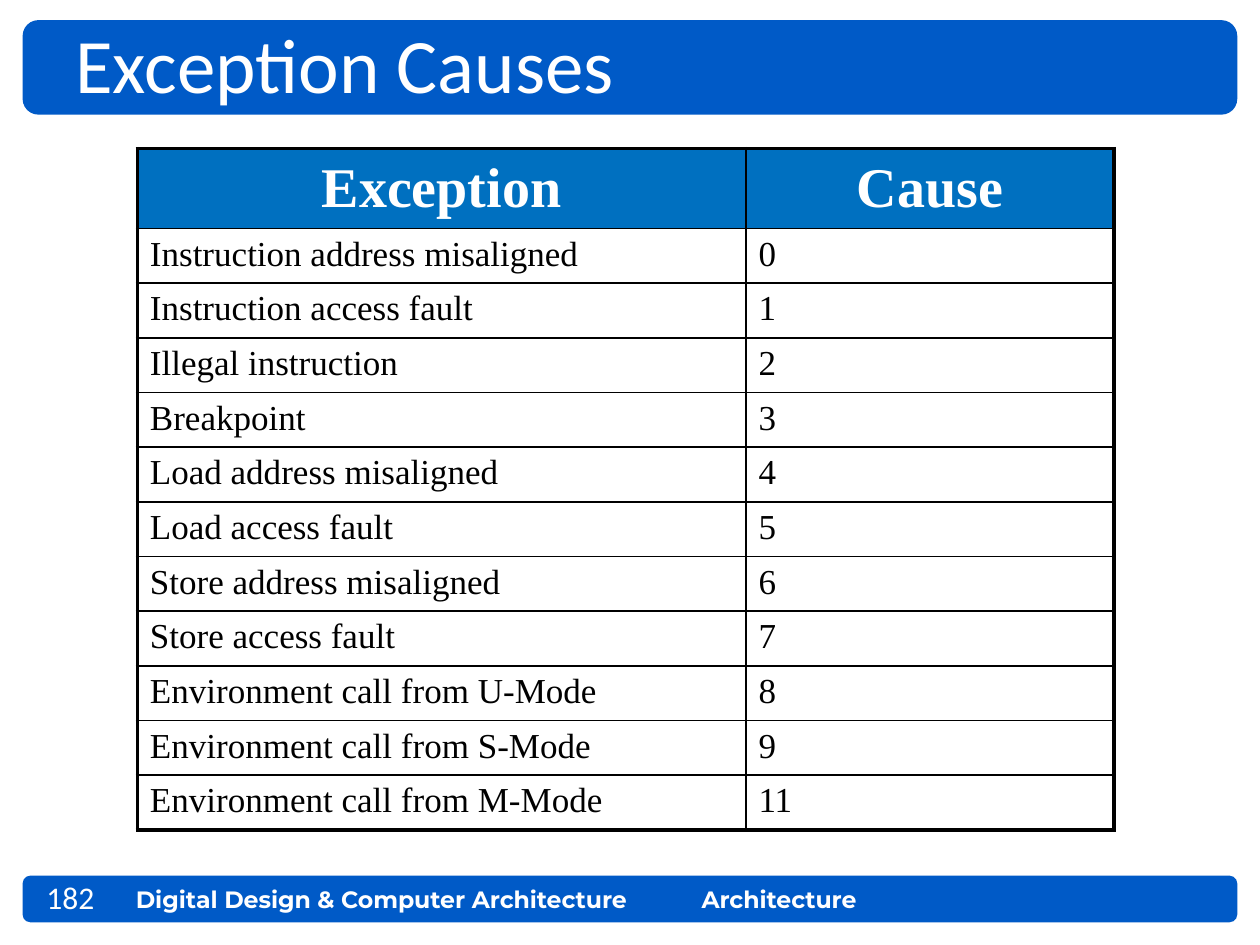
from lxml import etree
from pptx import Presentation
from pptx.dml.color import RGBColor
from pptx.enum.shapes import MSO_SHAPE
from pptx.enum.text import MSO_ANCHOR, PP_ALIGN
from pptx.oxml.ns import qn
from pptx.util import Inches, Pt

ROUND = MSO_SHAPE.ROUNDED_RECTANGLE
TOP, MIDDLE = MSO_ANCHOR.TOP, MSO_ANCHOR.MIDDLE
LEFT, CENTER = PP_ALIGN.LEFT, PP_ALIGN.CENTER

BLUE = RGBColor(0x00, 0x5A, 0xC7)
HEAD = RGBColor(0x00, 0x70, 0xC0)
WHITE = RGBColor(0xFF, 0xFF, 0xFF)
BLACK = RGBColor(0x00, 0x00, 0x00)

TITLE = {"name": "Calibri", "size": Pt(44), "bold": False}
NUMBER = {"name": "Calibri", "size": Pt(18), "bold": False}
FOOTER = {"name": "Montserrat", "size": Pt(13.5), "bold": True}
HEADING = {"name": "Times New Roman", "size": Pt(32), "bold": True}
BODY = {"name": "Times New Roman", "size": Pt(20), "bold": False}

THICK, THIN = Pt(2.25), Pt(1)
WIDTHS = (4.83, 2.92)
HIGH, HEAD_ROW = 5.4, 0.63
CAUSES = [
    ("Exception", "Cause"),
    ("Instruction address misaligned", "0"),
    ("Instruction access fault", "1"),
    ("Illegal instruction", "2"),
    ("Breakpoint", "3"),
    ("Load address misaligned", "4"),
    ("Load access fault", "5"),
    ("Store address misaligned", "6"),
    ("Store access fault", "7"),
    ("Environment call from U-Mode", "8"),
    ("Environment call from S-Mode", "9"),
    ("Environment call from M-Mode", "11"),
]


class Deck:
    """Holds the style and the current slide."""

    def __init__(self, slide):
        self.shapes = slide.shapes

    def bar(self, *box):
        shape = self.shapes.add_shape(ROUND, *map(Inches, box))
        shape.shadow.inherit = False
        shape.fill.solid()
        shape.fill.fore_color.rgb = BLUE
        shape.line.fill.background()

    def put(self, frame, text, style, color, align=LEFT):
        """Set the text of a frame in one style."""
        para = frame.paragraphs[0]
        para.alignment = align
        run = para.add_run()
        run.text = text
        for key, value in style.items():
            setattr(run.font, key, value)
        run.font.color.rgb = color

    def label(self, text, style, *box):
        frame = self.shapes.add_textbox(*map(Inches, box)).text_frame
        frame.word_wrap = True
        frame.vertical_anchor = MIDDLE
        self.put(frame, text, style, WHITE)

    def edge(self, cell, side, width):
        """Draw one border of a cell; call in the order L, R, T, B."""
        props = cell._tc.get_or_add_tcPr()
        line = etree.SubElement(props, qn("a:ln" + side), w=str(width))
        fill = etree.SubElement(line, qn("a:solidFill"))
        etree.SubElement(fill, qn("a:srgbClr"), val=str(BLACK))

    def table(self, rows, left, top):
        last, end = len(rows) - 1, len(WIDTHS) - 1
        box = map(Inches, (left, top, sum(WIDTHS), HIGH))
        table = self.shapes.add_table(last + 1, end + 1, *box).table
        table.first_row = table.horz_banding = False
        for column, width in zip(table.columns, WIDTHS):
            column.width = Inches(width)
        step = (HIGH - HEAD_ROW) / last
        for r, row in enumerate(rows):
            table.rows[r].height = Inches(step if r else HEAD_ROW)
            for c, text in enumerate(row):
                cell = table.cell(r, c)
                outer = {"L": c == 0, "R": c == end, "T": r == 0, "B": r == last}
                for side, thick in outer.items():
                    self.edge(cell, side, THICK if thick else THIN)
                if r == 0:
                    cell.fill.solid()
                    cell.fill.fore_color.rgb = HEAD
                    cell.vertical_anchor = MIDDLE
                    self.put(cell.text_frame, text, HEADING, WHITE, CENTER)
                else:
                    cell.fill.background()
                    cell.vertical_anchor = TOP
                    self.put(cell.text_frame, text, BODY, BLACK)


def main():
    prs = Presentation()
    prs.slide_width, prs.slide_height = Inches(10), Inches(7.5)
    deck = Deck(prs.slides.add_slide(prs.slide_layouts[6]))
    deck.bar(0.18, 6.95, 9.64, 0.37)
    deck.bar(0.18, 0.16, 9.64, 0.75)
    deck.label("Digital Design & Computer Architecture", FOOTER, 0.98, 6.97, 4.44, 0.33)
    deck.label("Architecture", FOOTER, 5.47, 6.97, 2.94, 0.33)
    deck.label("Exception Causes", TITLE, 0.5, 0.08, 9.08, 0.84)
    deck.label("182", NUMBER, 0.27, 6.92, 0.82, 0.39)
    deck.table(CAUSES, 1.09, 1.18)
    prs.save("out.pptx")


if __name__ == "__main__":
    main()
